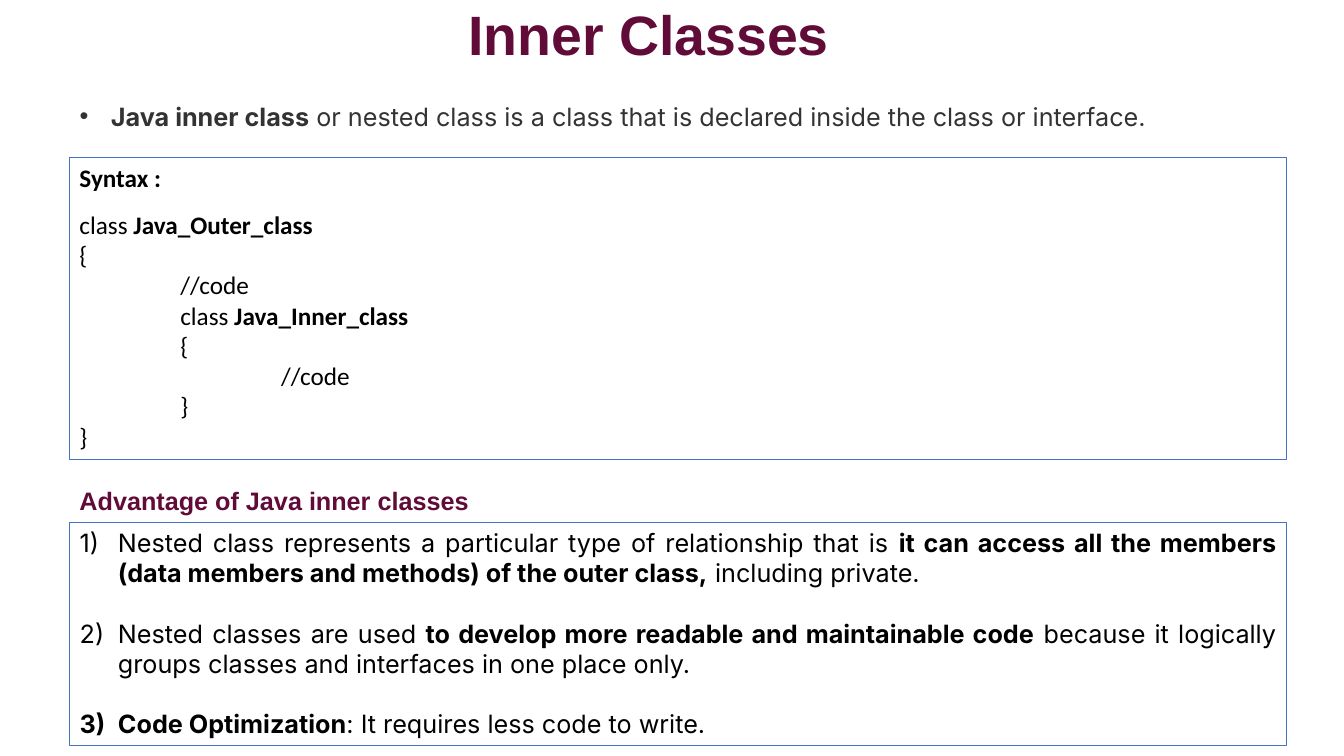
from lxml import etree
from pptx import Presentation, util as u
from pptx.dml.color import RGBColor
from pptx.enum import shapes, text
from pptx.oxml.ns import qn

COLORS = {"plum": "610B38", "gray": "333333", "black": "000000", "blue": "4472C4"}
LEFT, WIDTH = 0.69, 12.07


class SlideBuilder:
    def __init__(self, deck, layout):
        self.slide = deck.slides.add_slide(deck.slide_layouts[layout])

    def color(self, name):
        return RGBColor.from_string(COLORS[name])

    def place(self, shape, left, top, width, height):
        shape.left, shape.top = u.Inches(left), u.Inches(top)
        shape.width, shape.height = u.Inches(width), u.Inches(height)

    def outline(self, shape):
        shape.fill.background()
        shape.line.color.rgb = self.color("blue")
        shape.line.width = u.Pt(0.75)

    def frame(self, shape, anchor):
        frame = shape.text_frame
        frame.word_wrap = True
        frame.auto_size = text.MSO_AUTO_SIZE.NONE
        frame.vertical_anchor = anchor
        return frame

    def paragraph(self, frame, runs, font, color, size=18, align=text.PP_ALIGN.JUSTIFY,
                  before=0, margin=0, hanging=0, bullet=None):
        first = frame.paragraphs[0]
        para = frame.add_paragraph() if first.runs else first
        para.alignment = align
        para.space_before = u.Pt(before)
        props = para._p.get_or_add_pPr()
        props.set("marL", str(u.Inches(margin)))
        props.set("indent", str(-u.Inches(hanging)))
        if bullet:
            tag, key, value = bullet
            etree.SubElement(props, qn(tag)).set(key, value)
        for words, bold in runs:
            run = para.add_run()
            run.text = words
            run.font.name, run.font.size, run.font.bold = font, u.Pt(size), bold
            run.font.color.rgb = self.color(color)
        return para

    def title(self, words):
        heading = self.slide.shapes.title
        self.place(heading, 0.45, 0, 11.97, 0.74)
        frame = self.frame(heading, text.MSO_ANCHOR.MIDDLE)
        self.paragraph(frame, [(words, True)], "Arial", "plum", 39.6,
                       text.PP_ALIGN.CENTER).line_spacing = 0.9

    def items(self, index, top, height, entries, color, bullet, hanging, gap=0, boxed=False):
        body = self.slide.placeholders[index]
        self.place(body, LEFT, top, WIDTH, height)
        if boxed:
            self.outline(body)
        frame = self.frame(body, text.MSO_ANCHOR.TOP)
        for number, runs in enumerate(entries):
            self.paragraph(frame, runs, "Inter", color, before=gap if number else 0,
                           margin=hanging, hanging=hanging, bullet=bullet)

    def code_box(self, top, height, caption, lines):
        box = self.slide.shapes.add_shape(
            shapes.MSO_SHAPE.RECTANGLE, u.Inches(LEFT), u.Inches(top),
            u.Inches(WIDTH), u.Inches(height))
        box.shadow.inherit = False
        self.outline(box)
        frame = self.frame(box, text.MSO_ANCHOR.TOP)
        left = text.PP_ALIGN.LEFT
        self.paragraph(frame, [(caption, True)], "Calibri", "black", align=left)
        for number, (level, runs) in enumerate(lines):
            self.paragraph(frame, runs, "Calibri", "black", align=left,
                           before=0 if number else 12, margin=level)

    def subheading(self, top, words):
        label = self.slide.shapes.add_textbox(
            u.Inches(LEFT), u.Inches(top), u.Inches(6.67), u.Inches(0.4))
        frame = self.frame(label, text.MSO_ANCHOR.TOP)
        self.paragraph(frame, [(words, True)], "Arial", "plum")


def main():
    deck = Presentation()
    deck.slide_width, deck.slide_height = u.Inches(13.33), u.Inches(7.5)
    page = SlideBuilder(deck, 3)

    page.title("Inner Classes")
    definition = [
        ("Java inner class", True),
        (" or nested class is a class that is declared inside the class or interface.", False),
    ]
    page.items(1, 0.95, 0.4, [definition], "gray", ("a:buChar", "char", "•"), 0.31)

    syntax = [
        (0, [("class ", False), ("Java_Outer_class", True)]),
        (0, [("{", False)]),
        (1, [("//code", False)]),
        (1, [("class ", False), ("Java_Inner_class", True)]),
        (1, [("{", False)]),
        (2, [("//code", False)]),
        (1, [("}", False)]),
        (0, [("}", False)]),
    ]
    page.code_box(1.56, 3, "Syntax :", syntax)

    page.subheading(4.77, "Advantage of Java inner classes")
    advantages = [
        [("Nested class represents a particular type of relationship that is ", False),
         ("it can access all the members (data members and methods) of the outer class,", True),
         (" including private.", False)],
        [("Nested classes are used ", False),
         ("to develop more readable and maintainable code", True),
         (" because it logically groups classes and interfaces in one place only.", False)],
        [("Code Optimization", True), (": It requires less code to write.", False)],
    ]
    page.items(2, 5.18, 2.22, advantages, "black",
               ("a:buAutoNum", "type", "arabicParenR"), 0.38, gap=21.6, boxed=True)
    deck.save("out.pptx")


if __name__ == "__main__":
    main()
